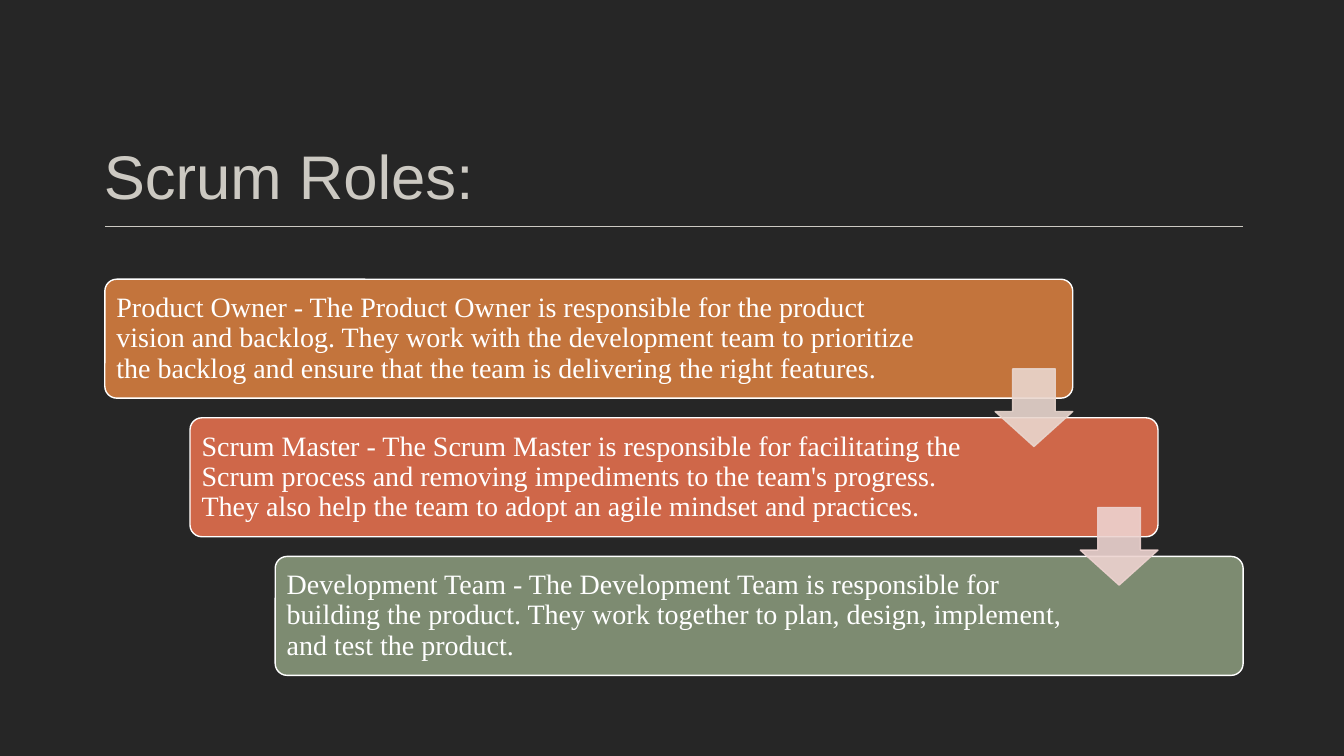
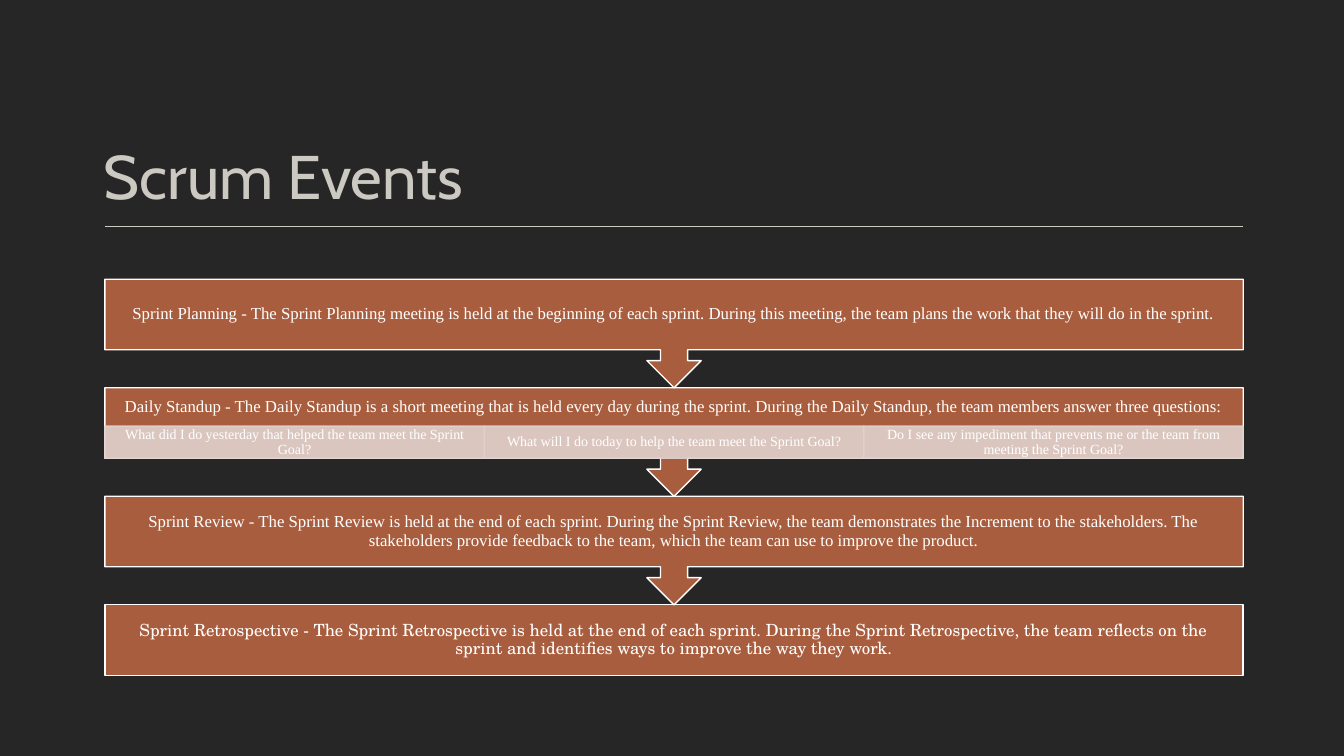
from collections import namedtuple

from lxml.etree import SubElement
from pptx import Presentation
from pptx.dml.color import RGBColor
from pptx.enum.shapes import MSO_CONNECTOR, MSO_SHAPE
from pptx.enum.text import MSO_ANCHOR, PP_ALIGN
from pptx.oxml.ns import qn
from pptx.util import Inches, Pt

Box = namedtuple("Box", "left top width height")

BACKGROUND = "262626"
TITLE_COLOUR = "CCC9C2"
WHITE = "FFFFFF"
EVENT_FILL = "A85E3E"
QUESTION_FILL = "E1D2CE"
SERIF = "Times New Roman"

TITLE_BOX = Box(0.93, 0.96, 11.4, 1.19)
BODY_BOX = Box(1.04, 2.77, 11.29, 3.93)
RULE_TOP = 2.25

TITLE_FONT = {"size": Pt(44)}
STEP_FONT = {"size": Pt(20), "name": SERIF}
EVENT_FONT = {"size": Pt(12), "name": SERIF}
QUESTION_FONT = {"size": Pt(10), "name": SERIF}

ROLES = [
    ("Product Owner - The Product Owner is responsible for the product vision and backlog. "
     "They work with the development team to prioritize the backlog and ensure that the team "
     "is delivering the right features.", "C3743C", 1.28),
    ("Scrum Master - The Scrum Master is responsible for facilitating the Scrum process and "
     "removing impediments to the team's progress. They also help the team to adopt an agile "
     "mindset and practices.", "CF6749", 1.69),
    ("Development Team - The Development Team is responsible for building the product. "
     "They work together to plan, design, implement, and test the product.", "7D8B71", 1.69),
]
ROLE_ARROW_FILLS = ["E9D6CE", "EDD3D0"]

EVENTS = [
    ("Sprint Planning - The Sprint Planning meeting is held at the beginning of each sprint. "
     "During this meeting, the team plans the work that they will do in the sprint.", SERIF, []),
    ("Daily Standup - The Daily Standup is a short meeting that is held every day during the "
     "sprint. During the Daily Standup, the team members answer three questions:", SERIF,
     ["What did I do yesterday that helped the team meet the Sprint Goal?",
      "What will I do today to help the team meet the Sprint Goal?",
      "Do I see any impediment that prevents me or the team from meeting the Sprint Goal?"]),
    ("Sprint Review - The Sprint Review is held at the end of each sprint. During the Sprint "
     "Review, the team demonstrates the Increment to the stakeholders. The stakeholders provide "
     "feedback to the team, which the team can use to improve the product.", SERIF, []),
    ("Sprint Retrospective - The Sprint Retrospective is held at the end of each sprint. During "
     "the Sprint Retrospective, the team reflects on the sprint and identifies ways to improve "
     "the way they work.", "TeX Gyre Schola", []),
]


def colour(value):
    """Return the colour for a hex string."""
    return RGBColor.from_string(value)


def set_attributes(target, values):
    """Set each named value on the target."""
    for name, value in values.items():
        setattr(target, name, value)


def place(shape, box):
    """Move and size a shape to a box given in inches."""
    set_attributes(shape, {name: Inches(value) for name, value in box._asdict().items()})


def add_block(slide, kind, box, fill, line=WHITE, opacity=100):
    """Add a filled and outlined preset shape without shadow."""
    shape = slide.shapes.add_shape(kind, *map(Inches, box))
    shape.shadow.inherit = False
    shape.fill.solid()
    shape.fill.fore_color.rgb = colour(fill)
    shape.line.color.rgb = colour(line)
    shape.line.width = Pt(1)
    if opacity < 100:
        for element in shape._element.spPr.iter(qn("a:srgbClr")):
            SubElement(element, qn("a:alpha"), val=str(opacity * 1000))
    return shape


def write_text(shape, text, font, insets, alignment=PP_ALIGN.LEFT):
    """Write one vertically centred paragraph with left, top, right and bottom insets."""
    frame = shape.text_frame
    sides = ("margin_left", "margin_top", "margin_right", "margin_bottom")
    set_attributes(frame, dict(zip(sides, map(Inches, insets))))
    set_attributes(frame, {"word_wrap": True, "vertical_anchor": MSO_ANCHOR.MIDDLE})
    paragraph = frame.paragraphs[0]
    set_attributes(paragraph, {"alignment": alignment, "line_spacing": 0.9})
    run = paragraph.add_run()
    run.text = text
    set_attributes(run.font, font)
    run.font.color.rgb = colour(WHITE)


def add_titled_slide(presentation, title, font_name):
    """Add a slide with its title and the rule beneath it."""
    slide = presentation.slides.add_slide(presentation.slide_layouts[5])
    shape = slide.shapes.title
    place(shape, TITLE_BOX)
    shape.text_frame.text = title
    shape.text_frame.vertical_anchor = MSO_ANCHOR.BOTTOM
    paragraph = shape.text_frame.paragraphs[0]
    paragraph.alignment = PP_ALIGN.LEFT
    font = paragraph.runs[0].font
    set_attributes(font, {**TITLE_FONT, "name": font_name})
    font.color.rgb = colour(TITLE_COLOUR)
    rule = slide.shapes.add_connector(
        MSO_CONNECTOR.STRAIGHT, Inches(BODY_BOX.left), Inches(RULE_TOP),
        Inches(BODY_BOX.left + BODY_BOX.width), Inches(RULE_TOP))
    rule.line.color.rgb = colour(TITLE_COLOUR)
    rule.line.width = Pt(0.85)
    SubElement(rule._element.spPr, qn("a:effectLst"))
    return slide


def add_role_steps(slide, box):
    """Draw the roles as descending steps joined by arrows."""
    width, height, arrow_size, arrow_drop = 9.6, 1.18, 0.77, 0.89
    shift = (box.width - width) / (len(ROLES) - 1)
    pitch = (box.height - height) / (len(ROLES) - 1)
    for index, (text, fill, right_inset) in enumerate(ROLES):
        step_box = Box(box.left + index * shift, box.top + index * pitch, width, height)
        step = add_block(slide, MSO_SHAPE.ROUNDED_RECTANGLE, step_box, fill)
        step.adjustments[0] = 0.1
        write_text(step, text, STEP_FONT, (0.08, 0.08, right_inset, 0.08))
    for index, fill in enumerate(ROLE_ARROW_FILLS):
        arrow_box = Box(box.left + index * shift + width - arrow_size,
                        box.top + index * pitch + arrow_drop, arrow_size, arrow_size)
        arrow = add_block(slide, MSO_SHAPE.DOWN_ARROW, arrow_box, fill, fill, 90)
        arrow.adjustments[0] = 0.55
        arrow.adjustments[1] = 0.45


def add_questions(slide, box, questions):
    """Draw the questions as equal cells side by side."""
    width = box.width / len(questions)
    for index, question in enumerate(questions):
        cell_box = Box(box.left + index * width, box.top, width, box.height)
        cell = add_block(slide, MSO_SHAPE.RECTANGLE, cell_box, QUESTION_FILL, QUESTION_FILL, 90)
        write_text(cell, question, QUESTION_FONT, (0.08, 0.01, 0.08, 0.01), PP_ALIGN.CENTER)


def add_event_flow(slide, box):
    """Draw the events from last to first, each pointing to the next."""
    height, question_height, inset = 0.7, 0.32, 0.09
    last = len(EVENTS) - 1
    pitch = (box.height - height) / last
    for index, (text, font_name, questions) in reversed(list(enumerate(EVENTS))):
        top = box.top + index * pitch
        is_last = index == last
        kind = MSO_SHAPE.RECTANGLE if is_last else MSO_SHAPE.DOWN_ARROW_CALLOUT
        event_box = Box(box.left, top, box.width, height if is_last else pitch)
        event = add_block(slide, kind, event_box, EVENT_FILL)
        bottom_inset = inset + question_height if questions else inset
        write_text(event, text, {**EVENT_FONT, "name": font_name},
                   (inset, inset, inset, bottom_inset), PP_ALIGN.CENTER)
        if questions:
            row_box = Box(box.left, top + height - question_height, box.width, question_height)
            add_questions(slide, row_box, questions)


def main():
    """Build and save the presentation."""
    presentation = Presentation()
    set_attributes(presentation, {"slide_width": Inches(13.33), "slide_height": Inches(7.5)})
    background = presentation.slide_master.background.fill
    background.solid()
    background.fore_color.rgb = colour(BACKGROUND)
    add_role_steps(add_titled_slide(presentation, "Scrum Roles:", "Arial"), BODY_BOX)
    add_event_flow(add_titled_slide(presentation, "Scrum Events", "Cabin"), BODY_BOX)
    presentation.save("out.pptx")


if __name__ == "__main__":
    main()
